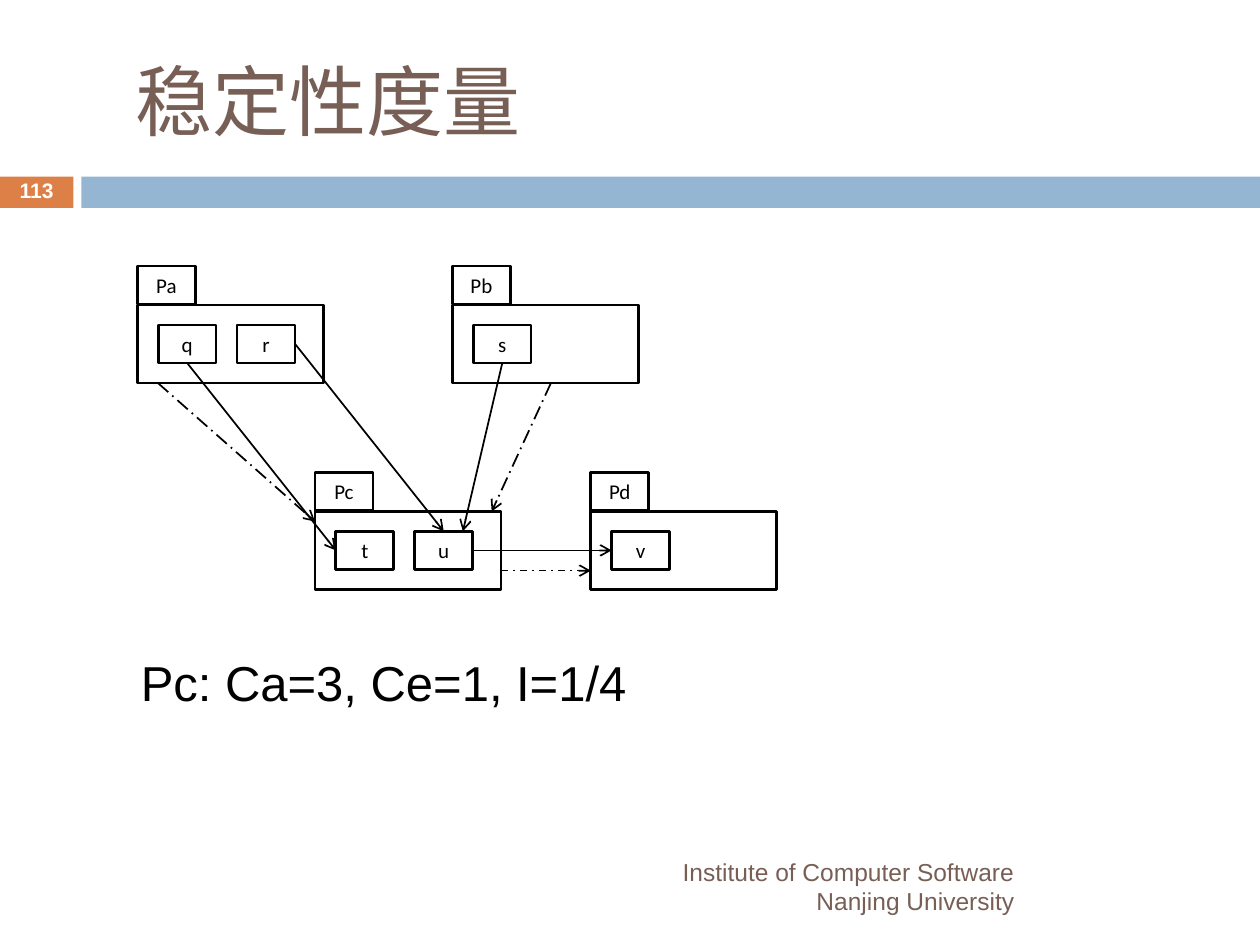
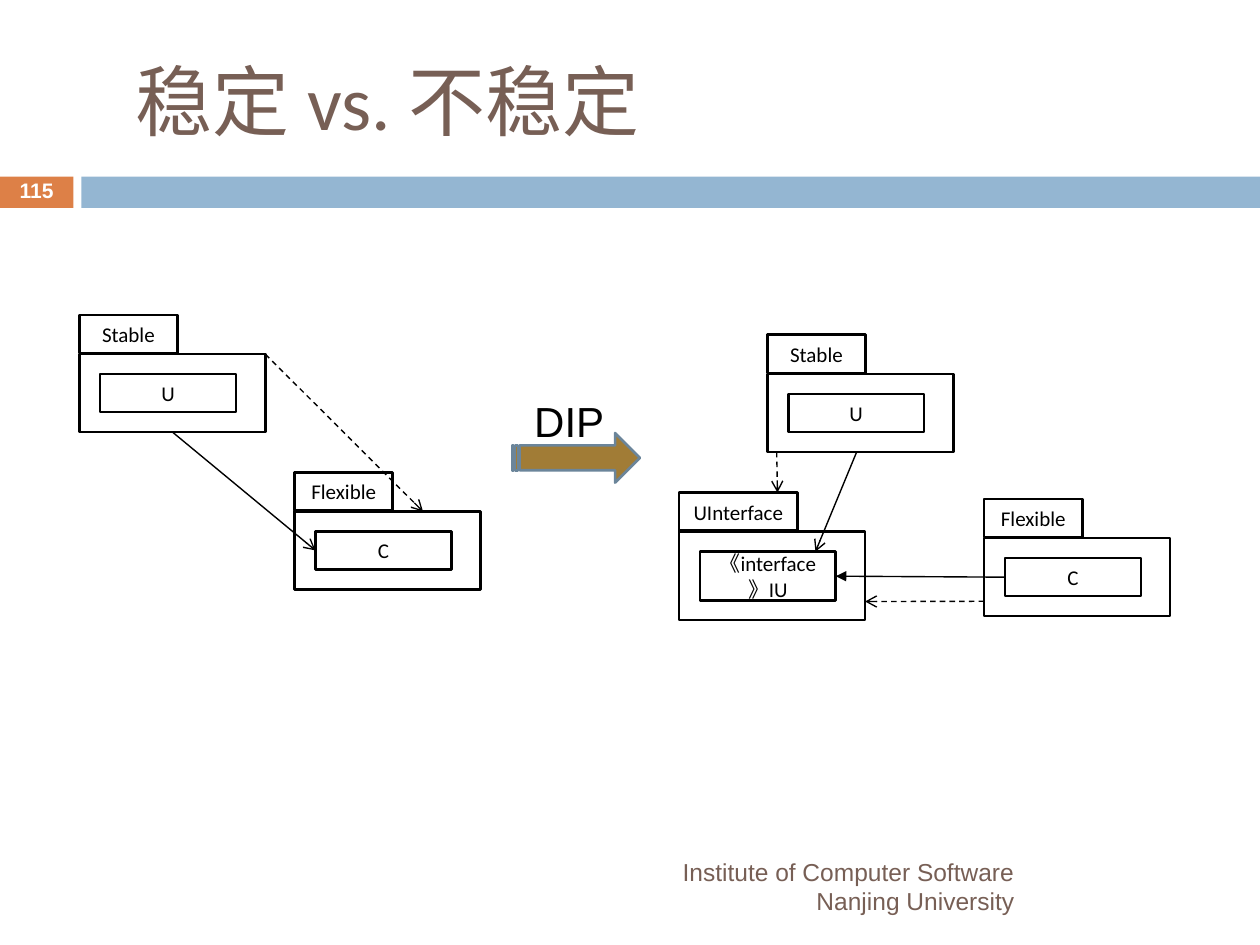
from lxml.etree import SubElement
from pptx import Presentation
from pptx.dml.color import RGBColor
from pptx.enum.dml import MSO_LINE
from pptx.enum.shapes import MSO_CONNECTOR, MSO_SHAPE
from pptx.enum.text import MSO_ANCHOR, PP_ALIGN
from pptx.oxml.ns import qn
from pptx.util import Cm, Pt

# Shared look
BLACK, WHITE, BROWN = "000000", "FFFFFF", "775F55"
ORANGE, BLUE = "DD8047", "94B6D2"
ARROW_FILL, ARROW_LINE = "A17C36", "6B859A"
FOOTER = ["Institute of Computer Software", "Nanjing University"]

# Package geometry in cm
BODY_WIDTH, BODY_HEIGHT = 3.75, 1.57
TAB_RISE, BOX_HEIGHT = 0.79, 0.77
CLASS_LEFT, CLASS_TOP, CLASS_STEP = 0.42, 0.4, 1.59
SMALL, TAB, WIDE = 1.17, 1.98, 2.74

# Packages: name, body left, body top, tab width, class width, classes,
# growth of the body height, growth of the class height
# Links: from (part, x share, y share), to (the same), dash, arrowhead
SOLID = None
METRIC = {
    "line_width": 1,
    "packages": [
        ("Pa", 2.77, 6.15, SMALL, SMALL, ["q", "r"], 0, 0),
        ("Pb", 9.12, 6.15, SMALL, SMALL, ["s"], 0, 0),
        ("Pc", 6.35, 10.31, SMALL, SMALL, ["t", "u"], 0, 0),
        ("Pd", 11.91, 10.31, SMALL, SMALL, ["v"], 0, 0),
    ],
    "links": [
        (("q", 0.5, 1), ("t", 0, 0.5), SOLID, "arrow"),
        (("r", 1, 0.5), ("u", 0.5, 0), SOLID, "arrow"),
        (("s", 0.5, 1), ("u", 0.83, 0), SOLID, "arrow"),
        (("u", 1, 0.5), ("v", 0, 0.5), SOLID, "arrow"),
        (("Pa", 0.11, 1), ("Pc", 0, 0.13), MSO_LINE.LONG_DASH_DOT, "arrow"),
        (("Pb", 0.53, 1), ("Pc", 0.95, 0), MSO_LINE.LONG_DASH_DOT, "arrow"),
        (("Pc", 1, 0.76), ("Pd", 0, 0.76), MSO_LINE.DASH_DOT, "arrow"),
    ],
}
BEFORE_DIP = {
    "line_width": 0.79,
    "packages": [
        ("Stable", 1.6, 7.14, TAB, WIDE, ["U"], 0, 0),
        ("Flexible", 5.94, 10.31, TAB, WIDE, ["C"], 0, 0),
    ],
    "links": [
        (("Stable", 0.5, 1), ("C", 0, 0.5), SOLID, "arrow"),
        (("Stable", 1, 0), ("Flexible", 0.69, 0), MSO_LINE.DASH, "arrow"),
    ],
}
INTERFACE = "《interface》IU"
AFTER_DIP = {
    "line_width": 0.79,
    "packages": [
        ("Stable", 15.47, 7.54, TAB, WIDE, ["U"], 0, 0),
        ("Flexible", 19.84, 10.85, TAB, WIDE, ["C"], 0, 0),
        ("UInterface", 13.69, 10.72, 2.39, WIDE, [INTERFACE], 0.21, 0.22),
    ],
    "links": [
        (("Stable", 0.48, 1), (INTERFACE, 0.85, 0), SOLID, "arrow"),
        (("C", 0, 0.5), (INTERFACE, 1, 0.5), SOLID, "triangle"),
        (("Flexible", 0, 0.81), ("UInterface", 1, 0.79), MSO_LINE.DASH, "arrow"),
        (("Stable", 0.05, 1), ("UInterface tab", 0.83, 0), MSO_LINE.DASH, "arrow"),
    ],
}


def color(hex_text):
    return RGBColor.from_string(hex_text)


def write(shape, lines, size, font="Arial", ink=BLACK, align=PP_ALIGN.LEFT,
          anchor=MSO_ANCHOR.MIDDLE, bold=False, spacing=None):
    frame = shape.text_frame
    frame.word_wrap = True
    frame.vertical_anchor = anchor
    for index, line in enumerate(lines):
        paragraph = frame.add_paragraph() if index else frame.paragraphs[0]
        paragraph.alignment = align
        if spacing:
            paragraph.line_spacing = spacing
        run = paragraph.add_run()
        run.text = line
        run.font.name, run.font.size, run.font.bold = font, Pt(size), bold
        run.font.color.rgb = color(ink)


def add_text(slide, box, lines, size, **style):
    write(slide.shapes.add_textbox(*map(Cm, box)), lines, size, **style)


def add_block(shapes, box, fill=None, line=None, preset=MSO_SHAPE.RECTANGLE):
    shape = shapes.add_shape(preset, *map(Cm, box))
    shape.shadow.inherit = False
    if fill:
        shape.fill.solid()
        shape.fill.fore_color.rgb = color(fill)
    else:
        shape.fill.background()
    if line:
        shape.line.color.rgb = color(line)
        shape.line.width = Pt(1.5)
    else:
        shape.line.fill.background()
    return shape


def add_link(shapes, start, end, width, dash, head):
    connector = shapes.add_connector(MSO_CONNECTOR.STRAIGHT, *map(Cm, start + end))
    connector.line.color.rgb = color(BLACK)
    connector.line.width = Pt(width)
    if dash:
        connector.line.dash_style = dash
    SubElement(connector.line._get_or_add_ln(), qn("a:tailEnd"), type=head)
    SubElement(connector._element.spPr, qn("a:effectLst"))


def add_diagram(shapes, diagram):
    boxes = {}

    def add_box(name, box, label=None):
        boxes[name] = box
        shape = add_block(shapes, box, line=BLACK)
        if label:
            write(shape, [label], 12, font="Calibri", align=PP_ALIGN.CENTER)

    def point(name, share_x, share_y):
        left, top, width, height = boxes[name]
        return left + share_x * width, top + share_y * height

    # Body, tab and inner classes of each package
    for (name, left, top, tab_width, class_width, classes,
         extra_body, extra_class) in diagram["packages"]:
        add_box(name, (left, top, BODY_WIDTH, BODY_HEIGHT + extra_body))
        add_box(name + " tab", (left, top - TAB_RISE, tab_width, BOX_HEIGHT), name)
        for index, label in enumerate(classes):
            add_box(label, (left + CLASS_LEFT + index * CLASS_STEP, top + CLASS_TOP,
                            class_width, BOX_HEIGHT + extra_class), label)

    # Dependencies
    for start, end, dash, head in diagram["links"]:
        add_link(shapes, point(*start), point(*end), diagram["line_width"], dash, head)


def add_slide(presentation, title, number):
    slide = presentation.slides.add_slide(presentation.slide_layouts[6])
    add_block(slide.shapes, (0, 3.56, 1.48, 0.63), fill=ORANGE)
    add_block(slide.shapes, (1.64, 3.56, 23.76, 0.63), fill=BLUE)
    add_text(slide, (2.49, 0.64, 21.84, 2.74), [title], 44, font="Calibri", ink=BROWN)
    add_text(slide, (1.7, 17.35, 19, 1.02), FOOTER, 14, ink=BROWN, align=PP_ALIGN.RIGHT)
    add_text(slide, (0, 3.53, 1.48, 0.69), [number], 12, ink=WHITE,
             align=PP_ALIGN.CENTER, bold=True, spacing=0.8)
    return slide


def main():
    presentation = Presentation()
    presentation.slide_width, presentation.slide_height = Cm(25.4), Cm(19.05)

    # Stability metric
    slide = add_slide(presentation, "稳定性度量", "113")
    add_diagram(slide.shapes, METRIC)
    add_text(slide, (2.59, 13.03, 13.28, 1.45), ["Pc: Ca=3, Ce=1, I=1/4"], 28,
             anchor=MSO_ANCHOR.TOP)

    # Stable and unstable packages, before and after the inversion
    slide = add_slide(presentation, "稳定 vs. 不稳定", "115")
    for diagram in (BEFORE_DIP, AFTER_DIP):
        add_diagram(slide.shapes.add_group_shape().shapes, diagram)
    add_block(slide.shapes, (10.32, 8.73, 2.58, 1), fill=ARROW_FILL, line=ARROW_LINE,
              preset=MSO_SHAPE.STRIPED_RIGHT_ARROW)
    add_text(slide, (10.52, 7.85, 2.39, 1.27), ["DIP"], 24, anchor=MSO_ANCHOR.TOP)

    presentation.save("out.pptx")


if __name__ == "__main__":
    main()
